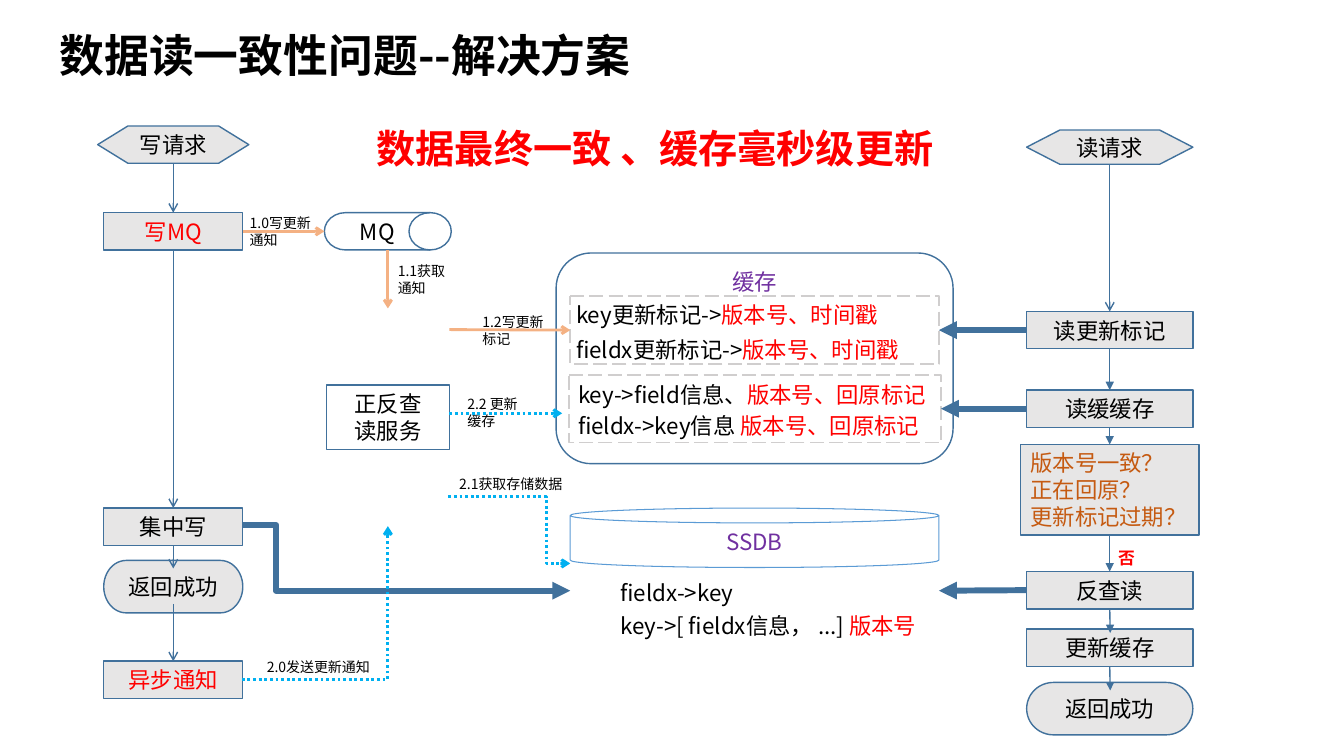
import pptx
import pptx.util
import pptx.dml.color
import pptx.enum.dml
import pptx.enum.shapes
import pptx.enum.text
import pptx.oxml.ns

SHAPE = pptx.enum.shapes.MSO_SHAPE
CONNECTOR = pptx.enum.shapes.MSO_CONNECTOR
DASH = pptx.enum.dml.MSO_LINE
ALIGN = pptx.enum.text.PP_ALIGN
ANCHOR = pptx.enum.text.MSO_ANCHOR
TOP, LEFT, BOTTOM, RIGHT = range(4)
COLORS = {
    "black": "000000", "red": "FF0000", "purple": "7030A0", "rust": "C55A11",
    "grey": "E7E6E6", "dash": "D0CECE", "navy": "41719C", "blue": "5B9BD5",
    "sky": "00B0F0", "peach": "F4B183",
}


def px(n):
    return pptx.util.Emu(n * 9144)


def rgb(name):
    return pptx.dml.color.RGBColor.from_string(COLORS[name])


def add_xml(parent, tag, **attrs):
    parent.append(parent.makeelement(pptx.oxml.ns.qn(tag), attrs))


class Diagram:
    font = "Noto Sans CJK SC"

    def __init__(self, prs):
        self.s = prs.slides.add_slide(prs.slide_layouts[5])

    def set_text(self, tf, lines, size, color, bold=False, align=ALIGN.LEFT, anchor=ANCHOR.MIDDLE):
        """Fill a frame; a line is a string or a list of (text, colour) runs."""
        tf.word_wrap = True
        tf.auto_size = pptx.enum.text.MSO_AUTO_SIZE.NONE
        tf.vertical_anchor = anchor
        for i, line in enumerate(lines):
            p = tf.add_paragraph() if i else tf.paragraphs[0]
            p.alignment = align
            p.line_spacing = pptx.util.Pt(size * 1.2)
            for text, tint in [(line, color)] if isinstance(line, str) else line:
                r = p.add_run()
                r.text = text
                r.font.size = pptx.util.Pt(size)
                r.font.bold = bold
                r.font.name = self.font
                r.font.color.rgb = rgb(tint)
                add_xml(r.font._element, "a:ea", typeface=self.font)

    def title(self, text, x, y, w, h):
        sp = self.s.shapes.title
        sp.left, sp.top, sp.width, sp.height = map(px, (x, y, w, h))
        self.set_text(sp.text_frame, [text], 32, "black", True)

    def text(self, lines, x, y, w, h, size=16, color="black", bold=False):
        sp = self.s.shapes.add_textbox(*map(px, (x, y, w, h)))
        self.set_text(sp.text_frame, lines, size, color, bold, anchor=ANCHOR.TOP)

    def box(self, kind, lines, x, y, w, h, color="black", fill="grey", line="navy",
            width=1, dash=None, align=ALIGN.CENTER, anchor=ANCHOR.MIDDLE):
        sp = self.s.shapes.add_shape(kind, *map(px, (x, y, w, h)))
        sp.shadow.inherit = False
        if fill:
            sp.fill.solid()
            sp.fill.fore_color.rgb = rgb(fill)
        else:
            sp.fill.background()
        sp.line.color.rgb = rgb(line)
        sp.line.width = pptx.util.Pt(width)
        sp.line.dash_style = dash
        self.set_text(sp.text_frame, lines, 16, color, align=align, anchor=anchor)
        return sp

    def arrow(self, start, end, color="navy", width=1, head="arrow", dash=None, bend=None, adj=None):
        """Each end is an (x, y) point or a (shape, side) pair to join."""
        joined = [not isinstance(e[0], int) for e in (start, end)]
        points = [(0, 0) if j else e for j, e in zip(joined, (start, end))]
        kind = CONNECTOR.ELBOW if bend else CONNECTOR.STRAIGHT
        cxn = self.s.shapes.add_connector(kind, *[px(n) for e in points for n in e])
        if joined[0]:
            cxn.begin_connect(*start)
        if joined[1]:
            cxn.end_connect(*end)
        cxn.line.color.rgb = rgb(color)
        cxn.line.width = pptx.util.Pt(width)
        cxn.line.dash_style = dash
        spPr = cxn._element.spPr
        add_xml(spPr.find(pptx.oxml.ns.qn("a:ln")), "a:tailEnd", type=head)
        add_xml(spPr, "a:effectLst")
        if bend:
            geom = spPr.find(pptx.oxml.ns.qn("a:prstGeom"))
            geom.set("prst", bend)
            if adj:
                add_xml(geom.find(pptx.oxml.ns.qn("a:avLst")), "a:gd", name="adj1", fmla=f"val {adj}")


def main():
    prs = pptx.Presentation()
    prs.slide_width, prs.slide_height = px(1334), px(750)
    d = Diagram(prs)
    d.title("数据读一致性问题--解决方案", 49, 8, 877, 92)
    d.text(["数据最终一致 、缓存毫秒级更新"], 364, 118, 585, 57, 28, "red", True)

    # Write column
    step, end, prep = SHAPE.FLOWCHART_PROCESS, SHAPE.FLOWCHART_TERMINATOR, SHAPE.FLOWCHART_PREPARATION
    write_req = d.box(prep, ["写请求"], 97, 125, 150, 37)
    write_mq = d.box(step, ["写MQ"], 103, 211, 138, 37, "red")
    write_all = d.box(step, ["集中写"], 103, 504, 138, 37)
    d.box(end, ["返回成功"], 103, 556, 138, 52)
    notify = d.box(step, ["异步通知"], 103, 656, 138, 37, "red")

    # Read column
    read_req = d.box(prep, ["读请求"], 1019, 129, 165, 34)
    read_mark, read_cache, read_back, update = [
        d.box(step, [name], 1019, y, 165, 37)
        for name, y in (("读更新标记", 309), ("读缓缓存", 387), ("反查读", 567), ("更新缓存", 624))]
    check = d.box(step, ["版本号一致？", "正在回原？", "更新标记过期？"], 1013, 441, 177, 90,
                  "rust", align=ALIGN.LEFT)
    d.box(end, ["返回成功"], 1019, 677, 165, 52)
    d.text(["否"], 1100, 538, 30, 30, 12, "red", True)

    # Queue, service, cache and store
    mq = d.box(SHAPE.FLOWCHART_DIRECT_ACCESS_STORAGE, ["MQ"], 322, 211, 126, 37, fill=None)
    d.box(step, ["正反查", "读服务"], 324, 382, 122, 64, fill=None)
    d.box(SHAPE.FLOWCHART_ALTERNATE_PROCESS, ["缓存"], 552, 251, 394, 209, "purple", None,
          anchor=ANCHOR.TOP)
    marks, infos = [
        d.box(step, [], x, y, w, 67, fill=None, line="dash", width=1.25, dash=DASH.LONG_DASH)
        for x, y, w in ((566, 294, 366), (565, 372, 369))]
    d.box(SHAPE.CAN, ["SSDB"], 566, 504, 366, 59, "purple", None, "blue", 0.75)
    for plain, marked, x, y in (
            ("key更新标记->", "版本号、时间戳", 562, 294),
            ("fieldx更新标记->", "版本号、时间戳", 562, 329),
            ("key->field信息、", "版本号、回原标记", 564, 373),
            ("fieldx->key信息 ", "版本号、回原标记", 564, 404),
            ("key->[ fieldx信息， ...] ", "版本号", 606, 602)):
        d.text([[(plain, "black"), (marked, "red")]], x, y, 400, 37)
    d.text(["fieldx->key"], 606, 570, 304, 37)

    # Step labels
    for lines, x, y, w in (
            (["1.0写更新", "通知"], 238, 208, 92),
            (["1.1获取通知"], 385, 256, 75),
            (["1.2写更新", "标记"], 469, 306, 87),
            (["2.0发送更新通知"], 255, 648, 140),
            (["2.1获取存储数据"], 446, 467, 140),
            (["2.2 更新", "缓存"], 454, 388, 91)):
        d.text(lines, x, y, w, 44 if w < 100 else 27, 10)

    # Flow down each column
    d.arrow((write_req, BOTTOM), (write_mq, TOP))
    d.arrow((write_mq, BOTTOM), (write_all, TOP))
    d.arrow((write_all, BOTTOM), (172, 564))
    d.arrow((172, 599), (notify, TOP))
    d.arrow((read_req, BOTTOM), (read_mark, TOP))
    for upper, lower in ((read_mark, read_cache), (read_cache, check), (check, read_back)):
        d.arrow((upper, BOTTOM), (lower, TOP), head="triangle")
    d.arrow((read_back, BOTTOM), (1102, 628), head="triangle")
    d.arrow((update, BOTTOM), (1102, 685), head="triangle")

    # Traffic to and from the cache and the store
    thick = dict(width=4.25, head="triangle")
    d.arrow((read_mark, LEFT), (marks, RIGHT), **thick)
    d.arrow((read_cache, LEFT), (infos, RIGHT), **thick)
    d.arrow((read_back, LEFT), (932, 586), **thick)
    d.arrow((240, 521), (566, 586), bend="bentConnector3", adj=10500, **thick)
    peach = dict(color="peach", width=2)
    d.arrow((write_mq, RIGHT), (mq, LEFT), **peach)
    d.arrow((mq, BOTTOM), (385, 306), **peach)
    d.arrow((446, 327), (marks, LEFT), **peach)
    dotted = dict(color="sky", width=2, dash=DASH.ROUND_DOT)
    d.arrow((446, 410), (558, 410), **dotted)
    d.arrow((240, 674), (385, 522), bend="bentConnector2", **dotted)
    d.arrow((445, 493), (566, 559), bend="bentConnector3", adj=80500, **dotted)
    prs.save("out.pptx")


if __name__ == "__main__":
    main()
